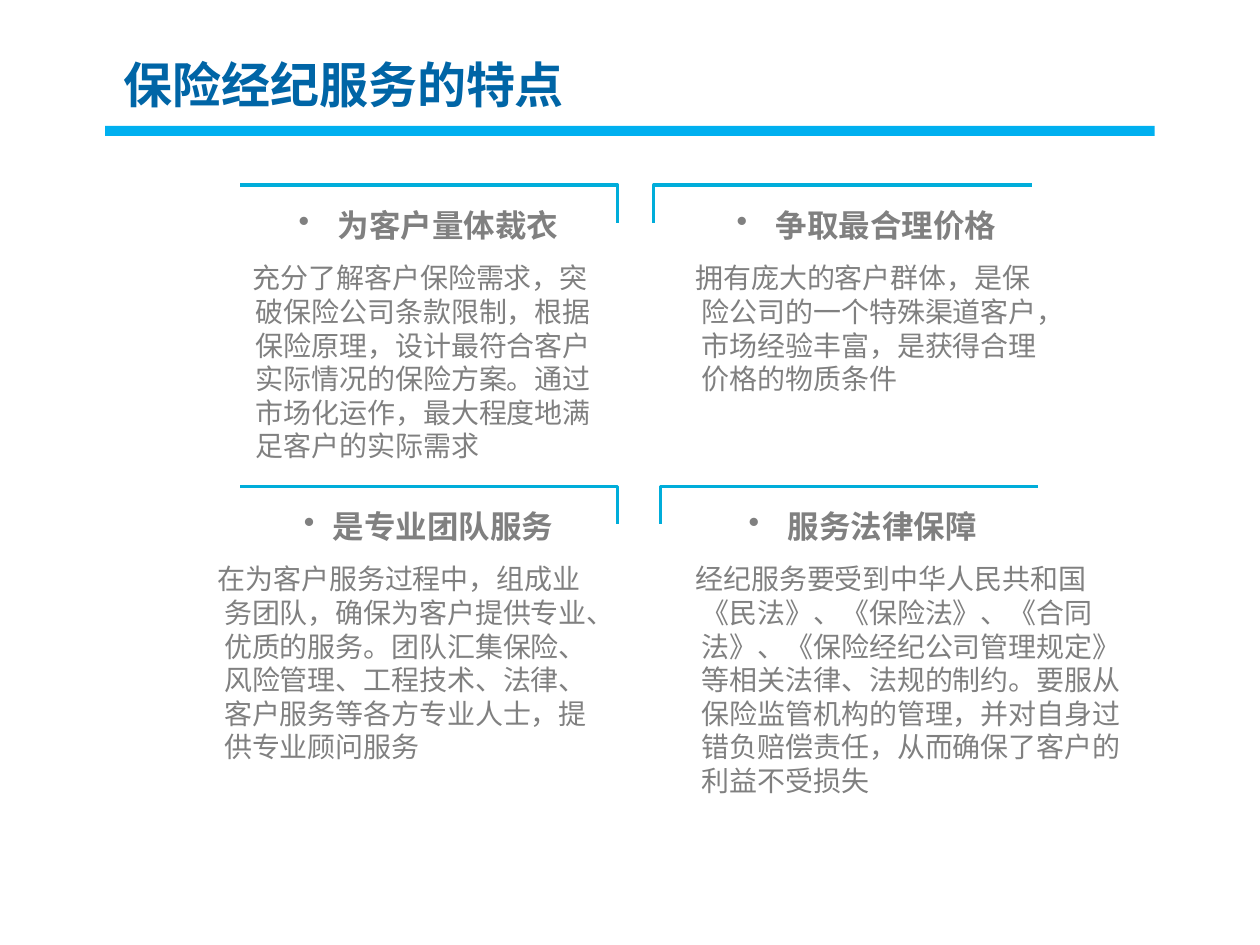
from dataclasses import dataclass
from lxml.etree import SubElement
from pptx import Presentation
from pptx.dml.color import RGBColor
from pptx.enum.shapes import MSO_SHAPE
from pptx.enum.text import MSO_ANCHOR, MSO_AUTO_SIZE, PP_ALIGN
from pptx.oxml.ns import qn
from pptx.slide import Slide
from pptx.text.text import TextFrame
from pptx.util import Cm, Pt

FONT = "Noto Sans CJK SC"
TITLE_BLUE = RGBColor(0x00, 0x65, 0xA6)
BAR_BLUE = RGBColor(0x00, 0xB0, 0xF0)
BRACKET_BLUE = RGBColor(0x00, 0xAD, 0xDA)
GREY = RGBColor(0x80, 0x80, 0x80)

FIRST_ROW_TOP = 3.73
ROW_PITCH = 6.07
BRACKET_WIDTH = 7.62
BRACKET_HEIGHT = 0.76
LEFT_COLUMN = 4.83
RIGHT_COLUMN = 13.82


@dataclass
class Feature:
    row: int
    heading: str
    body: str
    bracket_left: float
    corner_on_right: bool
    heading_left: float
    heading_width: float
    body_left: float
    body_width: float
    body_height: float
    bullet_indent: float = 0.79
    first_line: float = -0.13


FEATURES = [
    Feature(0, "为客户量体裁衣",
            "充分了解客户保险需求，突破保险公司条款限制，根据保险原理，设计最符合客户实际情况的保险方案。"
            "通过市场化运作，最大程度地满足客户的实际需求",
            LEFT_COLUMN, True, LEFT_COLUMN, 7.62, LEFT_COLUMN, 7.37, 4.06, first_line=-0.06),
    Feature(0, "争取最合理价格",
            "拥有庞大的客户群体，是保险公司的一个特殊渠道客户，市场经验丰富，是获得合理价格的物质条件",
            13.18, False, RIGHT_COLUMN, 7.29, RIGHT_COLUMN, 7.19, 2.72),
    Feature(1, "是专业团队服务",
            "在为客户服务过程中，组成业务团队，确保为客户提供专业、优质的服务。"
            "团队汇集保险、风险管理、工程技术、法律、客户服务等各方专业人士，提供专业顾问服务",
            LEFT_COLUMN, True, LEFT_COLUMN, 7.62, 4.19, 8.03, 4.06, bullet_indent=0.58),
    Feature(1, "服务法律保障 ",
            "经纪服务要受到中华人民共和国《民法》、《保险法》、《合同法》、《保险经纪公司管理规定》等相关法律、"
            "法规的制约。要服从保险监管机构的管理，并对自身过错负赔偿责任，从而确保了客户的利益不受损失",
            13.31, False, RIGHT_COLUMN, 7.29, RIGHT_COLUMN, 8.89, 4.75),
]


def write_text(frame: TextFrame, text: str, *, size: float, color: RGBColor,
               bold: bool = False, align: PP_ALIGN = PP_ALIGN.LEFT,
               anchor: MSO_ANCHOR = MSO_ANCHOR.TOP, inset_x: float = 0, inset_y: float = 0,
               before: float = 0, margin: float = 0, first_line: float = 0,
               bullet: str = "") -> None:
    frame.word_wrap = True
    frame.auto_size = MSO_AUTO_SIZE.NONE
    frame.vertical_anchor = anchor
    frame.margin_left = frame.margin_right = Cm(inset_x)
    frame.margin_top = frame.margin_bottom = Cm(inset_y)
    para = frame.paragraphs[0]
    para.alignment = align
    para.space_before = Pt(before)
    span = para.add_run()
    span.text = text
    span.font.name = FONT
    span.font.size = Pt(size)
    span.font.bold = bold
    span.font.color.rgb = color
    SubElement(span.font._element, qn("a:ea")).set("typeface", FONT)
    properties = para._p.get_or_add_pPr()
    properties.set("marL", str(Cm(margin)))
    properties.set("indent", str(Cm(first_line)))
    if bullet:
        bullet_color = SubElement(properties, qn("a:buClr"))
        SubElement(bullet_color, qn("a:srgbClr")).set("val", str(color))
        SubElement(properties, qn("a:buChar")).set("char", bullet)


def add_title(page: Slide, text: str) -> None:
    title = page.shapes.title
    title.left, title.top, title.width, title.height = Cm(2.29), Cm(0.99), Cm(14.02), Cm(1.37)
    write_text(title.text_frame, text, size=28, color=TITLE_BLUE, bold=True,
               inset_x=0.2, inset_y=0.1)


def add_title_bar(page: Slide) -> None:
    bar = page.shapes.add_shape(MSO_SHAPE.RECTANGLE, Cm(2.12), Cm(2.54), Cm(21.16), Cm(0.2))
    bar.shadow.inherit = False
    bar.fill.solid()
    bar.fill.fore_color.rgb = BAR_BLUE
    bar.line.fill.background()


def add_bracket(page: Slide, left: float, top: float, corner_on_right: bool) -> None:
    right = left + BRACKET_WIDTH
    corner, end = (right, left) if corner_on_right else (left, right)
    builder = page.shapes.build_freeform(Cm(corner), Cm(top + BRACKET_HEIGHT))
    builder.add_line_segments([(Cm(corner), Cm(top)), (Cm(end), Cm(top))], close=False)
    bracket = builder.convert_to_shape()
    bracket.shadow.inherit = False
    bracket.fill.background()
    bracket.line.color.rgb = BRACKET_BLUE
    bracket.line.width = Pt(1.75)


def add_feature(page: Slide, feature: Feature) -> None:
    top = FIRST_ROW_TOP + feature.row * ROW_PITCH
    heading = page.shapes.add_textbox(Cm(feature.heading_left), Cm(top + 0.42),
                                      Cm(feature.heading_width), Cm(0.76))
    write_text(heading.text_frame, feature.heading, size=18, color=GREY, bold=True,
               align=PP_ALIGN.CENTER, anchor=MSO_ANCHOR.MIDDLE, before=4.5,
               margin=feature.bullet_indent, first_line=-feature.bullet_indent, bullet="•")
    body = page.shapes.add_textbox(Cm(feature.body_left), Cm(top + 1.53),
                                   Cm(feature.body_width), Cm(feature.body_height))
    write_text(body.text_frame, feature.body, size=16, color=GREY, before=4,
               margin=0.33, first_line=feature.first_line)
    add_bracket(page, feature.bracket_left, top, feature.corner_on_right)


def main() -> None:
    deck = Presentation()
    deck.slide_width, deck.slide_height = Cm(25.4), Cm(19.05)
    page = deck.slides.add_slide(deck.slide_layouts[5])
    add_title_bar(page)
    add_title(page, "保险经纪服务的特点")
    for feature in FEATURES:
        add_feature(page, feature)
    deck.save("out.pptx")


if __name__ == "__main__":
    main()
